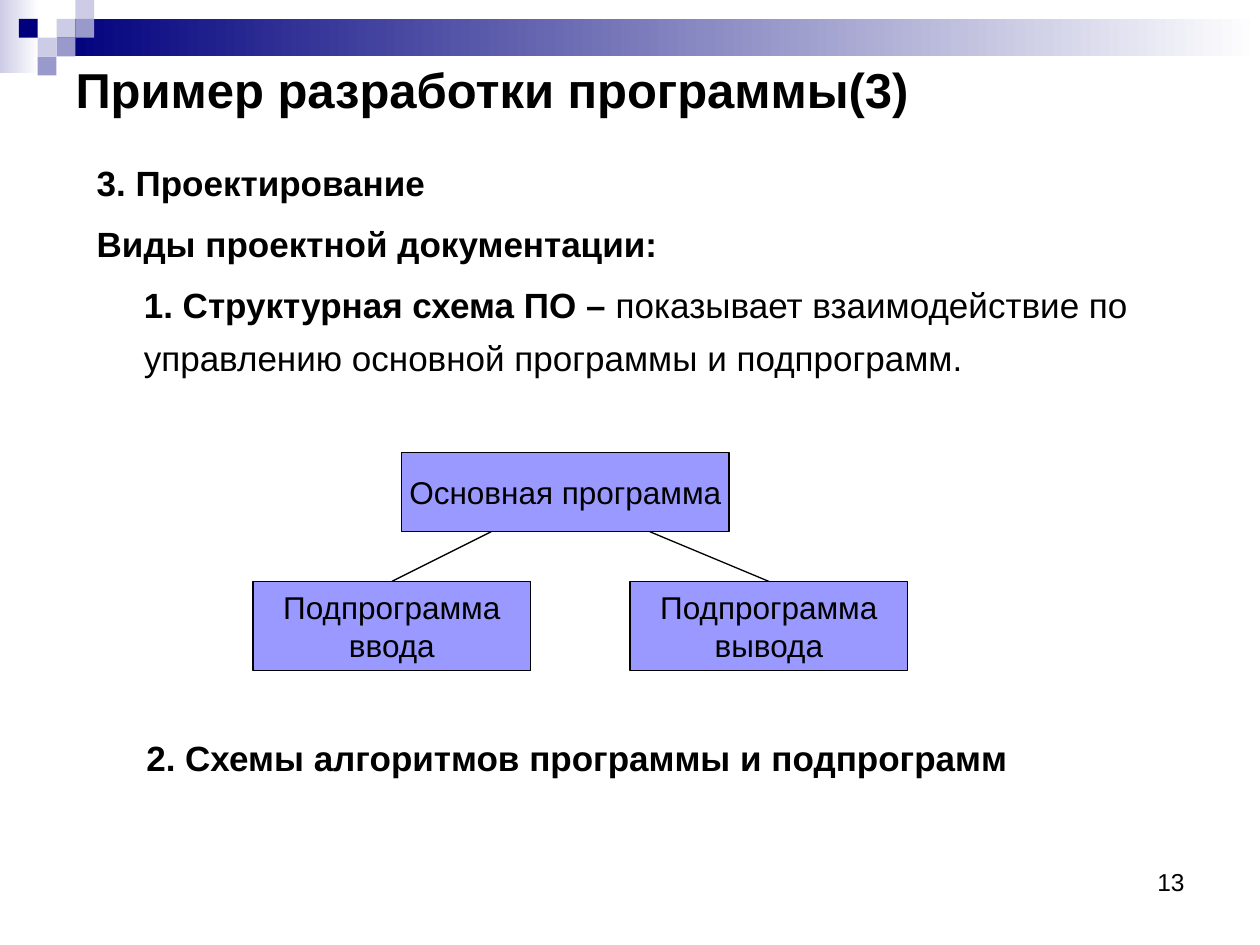
from dataclasses import dataclass

from lxml import etree
from pptx import Presentation
from pptx.dml.color import RGBColor
from pptx.enum.shapes import MSO_CONNECTOR, MSO_SHAPE
from pptx.enum.text import MSO_ANCHOR, MSO_AUTO_SIZE, PP_ALIGN
from pptx.oxml.ns import qn
from pptx.util import Cm, Pt

RECTANGLE = MSO_SHAPE.RECTANGLE
STRAIGHT = MSO_CONNECTOR.STRAIGHT
MIDDLE = MSO_ANCHOR.MIDDLE
NO_AUTOFIT = MSO_AUTO_SIZE.NONE
LEFT, CENTER, RIGHT = PP_ALIGN.LEFT, PP_ALIGN.CENTER, PP_ALIGN.RIGHT
TITLE_ONLY = 5
TOP_SIDE = 0


@dataclass(frozen=True)
class Theme:
    font: str = "Arial"
    ink: RGBColor = RGBColor(0x00, 0x00, 0x00)
    paper: RGBColor = RGBColor(0xFF, 0xFF, 0xFF)
    navy: RGBColor = RGBColor(0x00, 0x00, 0x7D)
    mid: RGBColor = RGBColor(0x99, 0x99, 0xCC)
    light: RGBColor = RGBColor(0xCC, 0xCC, 0xE6)
    block: RGBColor = RGBColor(0x99, 0x99, 0xFF)
    title_size: int = 28
    body_size: int = 20
    block_size: int = 18
    number_size: int = 14
    line_width: float = 0.75


class SlideBuilder:
    def __init__(self, slide, theme):
        self.slide = slide
        self.theme = theme

    def style(self, paragraph, size, bold=False, align=LEFT):
        paragraph.alignment = align
        font = paragraph.font
        font.name, font.size = self.theme.font, Pt(size)
        font.color.rgb = self.theme.ink
        if bold is not None:
            font.bold = bold

    def title(self, text, left, top, width, height):
        title = self.slide.shapes.title
        title.left, title.top = Cm(left), Cm(top)
        title.width, title.height = Cm(width), Cm(height)
        frame = title.text_frame
        frame.text = text
        frame.auto_size = NO_AUTOFIT
        frame.vertical_anchor = MIDDLE
        self.style(frame.paragraphs[0], self.theme.title_size, bold=True)

    def rectangle(self, left, top, width, height, color, fade=False):
        """Add a borderless rectangle, optionally fading to paper on the right."""
        rectangle = self.slide.shapes.add_shape(
            RECTANGLE, Cm(left), Cm(top), Cm(width), Cm(height))
        rectangle.shadow.inherit = False
        rectangle.line.fill.background()
        if fade:
            rectangle.fill.gradient()
            rectangle.fill.gradient_angle = 0
            for stop, shade in zip(rectangle.fill.gradient_stops,
                                   (color, self.theme.paper)):
                stop.color.rgb = shade
        else:
            rectangle.fill.solid()
            rectangle.fill.fore_color.rgb = color
        return rectangle

    def block(self, lines, left, top, width, height):
        """Add a labelled box of the structure diagram."""
        block = self.rectangle(left, top, width, height, self.theme.block)
        block.line.color.rgb = self.theme.ink
        block.line.width = Pt(self.theme.line_width)
        frame = block.text_frame
        frame.text = "\n".join(lines)
        frame.word_wrap = False
        frame.vertical_anchor = MIDDLE
        for paragraph in frame.paragraphs:
            self.style(paragraph, self.theme.block_size, align=CENTER)
        return block

    def link(self, start_x, parent, child):
        """Join a point on the parent's bottom edge to the child's top middle."""
        start_y = parent.top + parent.height
        link = self.slide.shapes.add_connector(
            STRAIGHT, Cm(start_x), start_y,
            child.left + child.width // 2, child.top)
        link.end_connect(child, TOP_SIDE)
        link.line.color.rgb = self.theme.ink
        link.line.width = Pt(self.theme.line_width)
        etree.SubElement(link._element.spPr, qn("a:effectLst"))

    def text(self, left, top, width, height):
        box = self.slide.shapes.add_textbox(
            Cm(left), Cm(top), Cm(width), Cm(height))
        box.text_frame.word_wrap = True
        return box.text_frame

    def label(self, text, left, top, width, height, size, bold=False, align=LEFT):
        frame = self.text(left, top, width, height)
        frame.text = text
        self.style(frame.paragraphs[0], size, bold, align)

    def body(self, items, left, top, width, height):
        """Add paragraphs given as (left margin in cm, [(text, bold), ...])."""
        frame = self.text(left, top, width, height)
        for index, (margin, runs) in enumerate(items):
            paragraph = frame.add_paragraph() if index else frame.paragraphs[0]
            paragraph.line_spacing = 1.25
            paragraph.space_before = Pt(5 if index else 0)
            paragraph._p.get_or_add_pPr().set("marL", str(Cm(margin)))
            for words, bold in runs:
                run = paragraph.add_run()
                run.text = words
                run.font.bold = bold
            self.style(paragraph, self.theme.body_size, bold=None)


def add_header(builder):
    theme = builder.theme
    step = 0.38
    builder.rectangle(0, 0, 0.79, 1.47, theme.light, fade=True)
    builder.rectangle(3 * step, step, 24.26, 2 * step, theme.navy, fade=True)
    mosaic = {
        theme.light: [(3, 1), (4, 0), (2, 2)],
        theme.mid: [(4, 1), (3, 2), (2, 3)],
        theme.navy: [(1, 1)],
    }
    for color, cells in mosaic.items():
        for column, row in cells:
            builder.rectangle(column * step, row * step, step, step, color)


def add_structure(builder):
    main_program = builder.block(["Основная программа"], 8.1, 9.12, 6.6, 1.6)
    subprograms = [("ввода", 5.1, 9.9), ("вывода", 12.7, 13.1)]
    for purpose, left, link_x in subprograms:
        subprogram = builder.block(["Подпрограмма", purpose], left, 11.72, 5.6, 1.8)
        builder.link(link_x, main_program, subprogram)


def main():
    deck = Presentation()
    deck.slide_width, deck.slide_height = Cm(25.4), Cm(19.05)
    theme = Theme()
    slide = deck.slides.add_slide(deck.slide_layouts[TITLE_ONLY])
    builder = SlideBuilder(slide, theme)

    add_header(builder)
    builder.label("13", 18.2, 17.35, 5.93, 1.32, theme.number_size, align=RIGHT)
    builder.title("Пример разработки программы(3)", 1.27, 1.27, 22.86, 1.04)
    builder.body([
        (0, [("3. Проектирование", True)]),
        (0, [("Виды проектной документации:", True)]),
        (0.95, [("1. Структурная схема ПО – ", True),
                ("показывает взаимодействие по управлению основной "
                 "программы и подпрограмм.", False)]),
    ], 1.7, 2.92, 22.86, 5.2)
    add_structure(builder)
    builder.label("2. Схемы алгоритмов программы и подпрограмм",
                  2.7, 14.73, 18.8, 1.11, theme.body_size, bold=True)

    deck.save("out.pptx")


if __name__ == "__main__":
    main()
